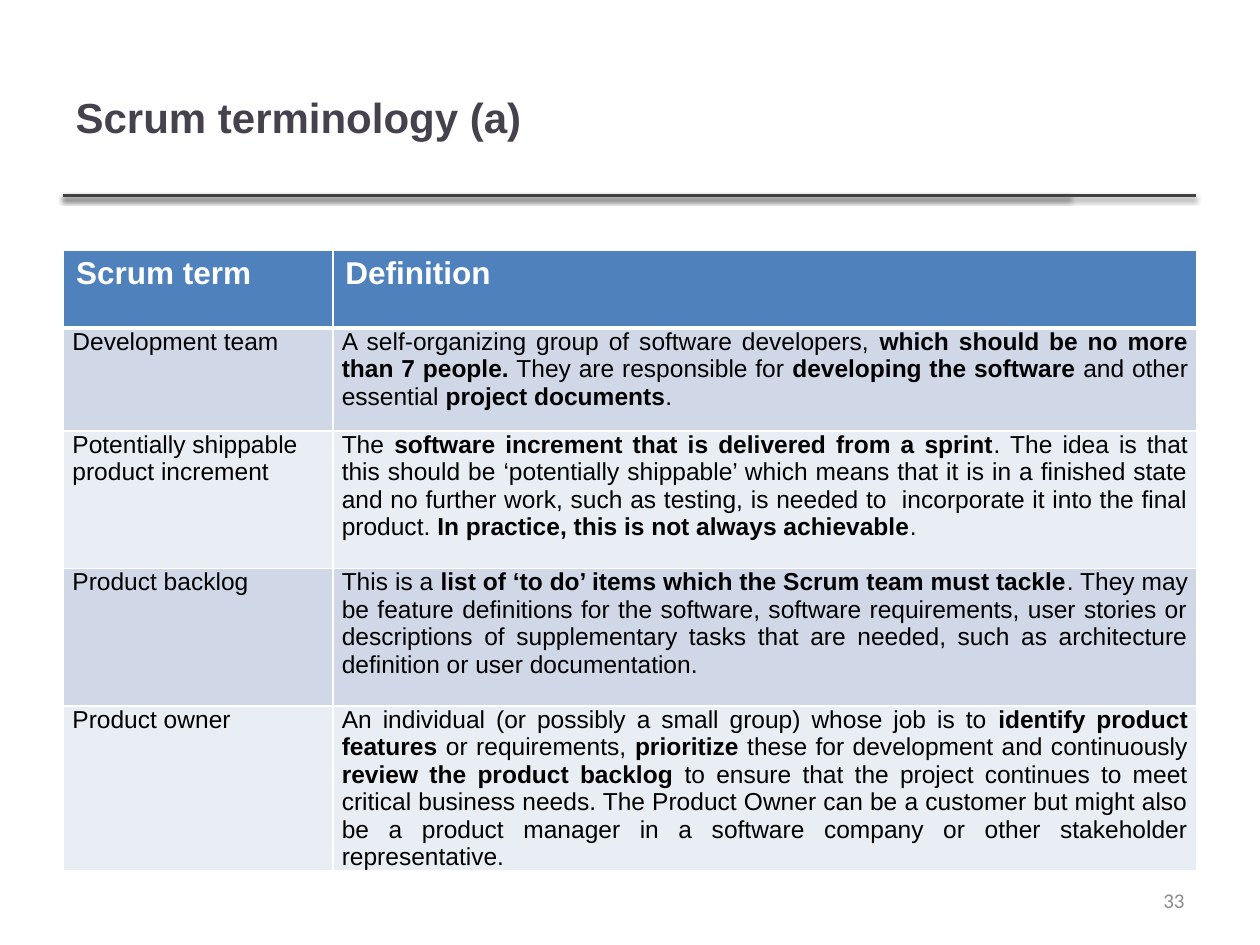
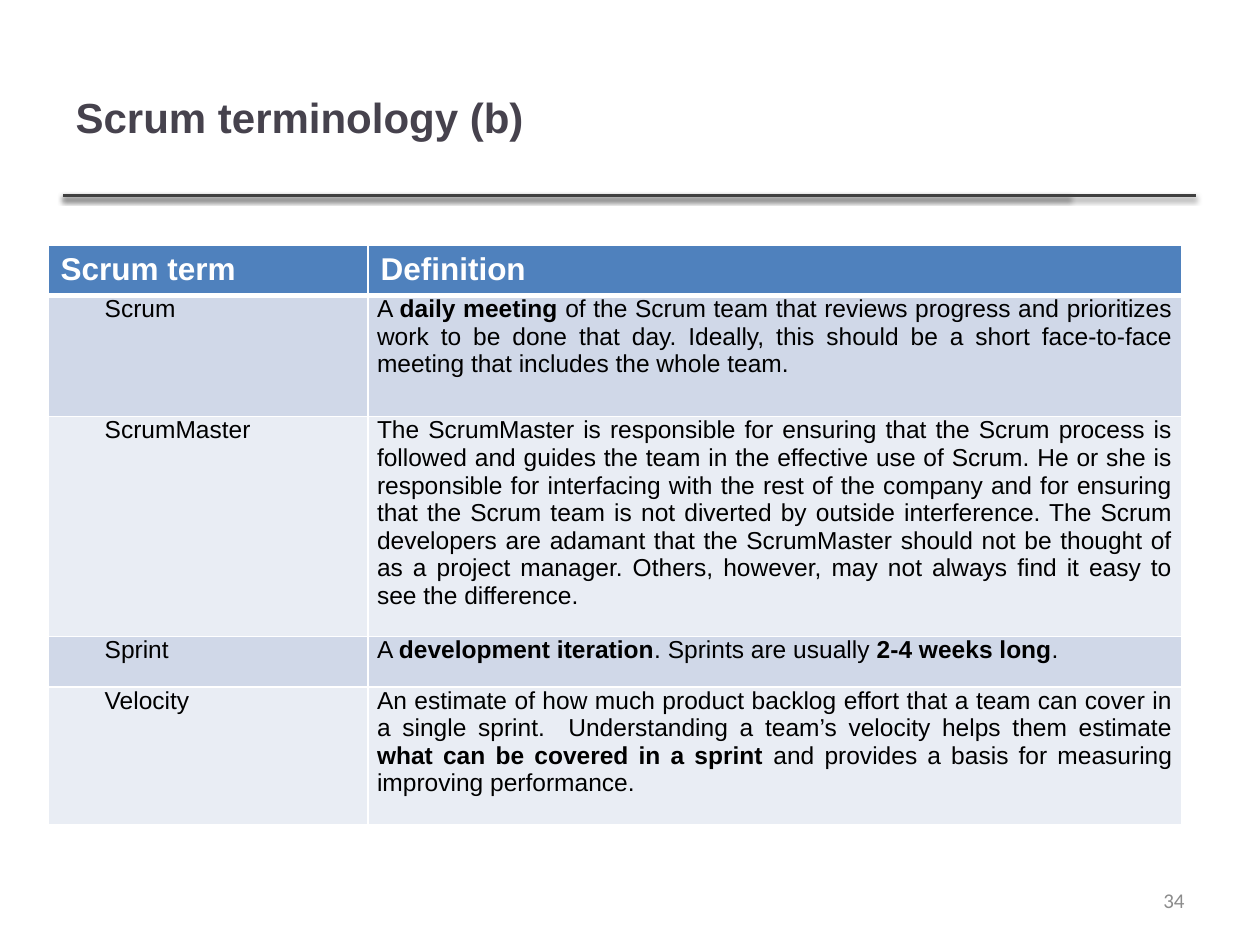
"""Build two slides of Scrum terms, each a ruled title above a two-column table."""
from dataclasses import dataclass
from typing import Any

from lxml import etree
from pptx import Presentation
from pptx import util as u
from pptx.dml.color import RGBColor
from pptx.enum import shapes, text
from pptx.oxml import ns

INK, GREY, WHITE, BLACK = "46424D", "8C8C8C", "FFFFFF", "000000"
RULE, HEADER_FILL = "404040", "4F81BD"
BAND_FILLS = ("D0D8E8", "E9EDF4")
TITLE_FONT = {"name": "Arial", "size": u.Pt(24), "bold": True}
HEADER_FONT = {"name": "Arial", "size": u.Pt(18), "bold": True}
BODY_FONT = {"name": "Arial", "size": u.Pt(14), "bold": False}
NUMBER_FONT = {"name": "Calibri", "size": u.Pt(12), "bold": False}
CELL_MARGINS = {"margin_left": u.Cm(0.18), "margin_right": u.Cm(0.18),
                "margin_top": 0, "margin_bottom": 0}
HEADERS = ("Scrum term", "Definition")
RULE_LEFT, RULE_TOP, RULE_ENDS = 1.27, 3.94, (21.56, 24.1)


@dataclass(frozen=True)
class Term:
    """A term, its definition with bold parts between asterisks, and its row height in cm."""
    name: str
    definition: str
    height: float


@dataclass(frozen=True)
class TermSlide:
    """The content and table geometry of one slide, in cm."""
    title: str
    number: str
    left: float
    top: float
    widths: tuple[float, float]
    header_height: float
    term_indent: float
    terms: tuple[Term, ...]


SLIDES = (
    TermSlide("Scrum terminology (a)", "33", 1.28, 5.04, (5.43, 17.42), 1.57, 0, (
        Term("Development team",
             "A self-organizing group of software developers, *which should be no more than "
             "7 people.* They are responsible for *developing the software* and other "
             "essential *project documents*.", 2.08),
        Term("Potentially shippable product increment",
             "The *software increment that is delivered from a sprint*. The idea is that this "
             "should be ‘potentially shippable’ which means that it is in a finished state and "
             "no further work, such as testing, is needed to  incorporate it into the final "
             "product. *In practice, this is not always achievable*.", 2.77),
        Term("Product backlog",
             "This is a *list of ‘to do’ items which the Scrum team must tackle*. They may be "
             "feature definitions for the software, software requirements, user stories or "
             "descriptions of supplementary tasks that are needed, such as architecture "
             "definition or user documentation.", 2.77),
        Term("Product owner",
             "An individual (or possibly a small group) whose job is to *identify product "
             "features *or requirements, *prioritize *these for development and continuously "
             "*review the product backlog *to ensure that the project continues to meet "
             "critical business needs. The Product Owner can be a customer but might also be a "
             "product manager in a software company or other stakeholder representative.", 3.33),
    )),
    TermSlide("Scrum terminology (b)", "34", 0.97, 4.95, (6.45, 16.4), 1.01, 0.96, (
        Term("Scrum",
             "A *daily meeting *of the Scrum team that reviews progress and prioritizes work to "
             "be done that day. Ideally, this should be a short face-to-face meeting that "
             "includes the whole team.", 2.44),
        Term("ScrumMaster",
             "The ScrumMaster is responsible for ensuring that the Scrum process is followed "
             "and guides the team in the effective use of Scrum. He or she is responsible for "
             "interfacing with the rest of the company and for ensuring that the Scrum team is "
             "not diverted by outside interference. The Scrum developers are adamant that the "
             "ScrumMaster should not be thought of as a project manager. Others, however, may "
             "not always find it easy to see the difference.", 4.43),
        Term("Sprint",
             "A *development iteration*. Sprints are usually *2-4 weeks long*.", 1.02),
        Term("Velocity",
             "An estimate of how much product backlog effort that a team can cover in a single "
             "sprint.  Understanding a team’s velocity helps them estimate *what can be covered "
             "in a sprint *and provides a basis for measuring improving performance.", 2.77),
    )),
)


def colour(value: str) -> RGBColor:
    """Turn a hex string into a colour."""
    return RGBColor.from_string(value)


def apply(target: Any, values: dict[str, Any]) -> None:
    """Set every attribute named in values on the target."""
    for name, value in values.items():
        setattr(target, name, value)


def write(paragraph: Any, content: str, font: dict[str, Any], ink: str,
          align: Any = text.PP_ALIGN.LEFT) -> None:
    """Fill a paragraph with runs, making the parts between asterisks bold."""
    paragraph.alignment = align
    for index, part in enumerate(content.split("*")):
        if part:
            run = paragraph.add_run()
            run.text = part
            apply(run.font, font)
            run.font.bold = font["bold"] or index % 2 == 1
            run.font.color.rgb = colour(ink)


def add_child(parent: Any, tag: str, **attributes: Any) -> Any:
    """Append a drawing element with the given attributes."""
    values = {name: str(value) for name, value in attributes.items()}
    return etree.SubElement(parent, ns.qn(f"a:{tag}"), values)


def draw_rule(slide: Any, end: float) -> None:
    """Draw a shadowed line under the title."""
    rule = slide.shapes.add_connector(shapes.MSO_CONNECTOR.STRAIGHT, u.Cm(RULE_LEFT),
                                      u.Cm(RULE_TOP), u.Cm(end), u.Cm(RULE_TOP))
    rule.line.width = u.Pt(2)
    rule.line.color.rgb = colour(RULE)
    effects = add_child(rule._element.spPr, "effectLst")
    shadow = add_child(effects, "outerShdw", blurRad=u.Pt(3.1), dist=u.Pt(1.6),
                       dir=5400000, rotWithShape=0)
    add_child(add_child(shadow, "srgbClr", val=BLACK), "alpha", val=38000)


def format_cell(cell: Any, fill: str, top: int, bottom: int) -> None:
    """Give a cell its fill and white borders, with widths in points."""
    properties = cell._tc.get_or_add_tcPr()
    for side, width in {"L": 1, "R": 1, "T": top, "B": bottom}.items():
        border = add_child(properties, f"ln{side}", w=u.Pt(width))
        add_child(add_child(border, "solidFill"), "srgbClr", val=WHITE)
    cell.fill.solid()
    cell.fill.fore_color.rgb = colour(fill)


def draw_table(slide: Any, content: TermSlide) -> None:
    """Draw the header and one banded row for each term."""
    heights = [content.header_height, *(term.height for term in content.terms)]
    table = slide.shapes.add_table(len(heights), 2, u.Cm(content.left), u.Cm(content.top),
                                   u.Cm(sum(content.widths)), u.Cm(sum(heights))).table
    for column, width in zip(table.columns, content.widths):
        column.width = u.Cm(width)
    for row, height in zip(table.rows, heights):
        row.height = u.Cm(height)
    for cell, label in zip(table.rows[0].cells, HEADERS):
        format_cell(cell, HEADER_FILL, 1, 3)
        write(cell.text_frame.paragraphs[0], label, HEADER_FONT, WHITE)
    for index, term in enumerate(content.terms):
        name_cell, definition_cell = table.rows[index + 1].cells
        for cell in (name_cell, definition_cell):
            format_cell(cell, BAND_FILLS[index % 2], 1 if index else 3, 1)
            apply(cell, CELL_MARGINS)
        name = name_cell.text_frame.paragraphs[0]
        if content.term_indent:
            name._p.get_or_add_pPr().set("indent", str(u.Cm(content.term_indent)))
        write(name, term.name, BODY_FONT, BLACK)
        write(definition_cell.text_frame.paragraphs[0], term.definition, BODY_FONT, BLACK,
              text.PP_ALIGN.JUSTIFY)


def draw_number(slide: Any, number: str) -> None:
    """Write the page number at the lower right."""
    box = slide.shapes.add_textbox(u.Cm(18.2), u.Cm(17.65), u.Cm(5.93), u.Cm(1.01))
    apply(box.text_frame, {"word_wrap": True, "vertical_anchor": text.MSO_ANCHOR.MIDDLE})
    write(box.text_frame.paragraphs[0], number, NUMBER_FONT, GREY, text.PP_ALIGN.RIGHT)


def build_slide(presentation: Any, content: TermSlide) -> None:
    """Add one terminology slide."""
    slide = presentation.slides.add_slide(presentation.slide_layouts[5])
    for end in RULE_ENDS:
        draw_rule(slide, end)
    title = slide.shapes.title
    apply(title, {"left": u.Cm(1.27), "top": u.Cm(0.76),
                  "width": u.Cm(20.28), "height": u.Cm(3.18)})
    title.text_frame.vertical_anchor = text.MSO_ANCHOR.MIDDLE
    write(title.text_frame.paragraphs[0], content.title, TITLE_FONT, INK)
    draw_table(slide, content)
    draw_number(slide, content.number)


def main() -> None:
    """Build and save the presentation."""
    presentation = Presentation()
    apply(presentation, {"slide_width": u.Cm(25.4), "slide_height": u.Cm(19.05)})
    for content in SLIDES:
        build_slide(presentation, content)
    presentation.save("out.pptx")


if __name__ == "__main__":
    main()
